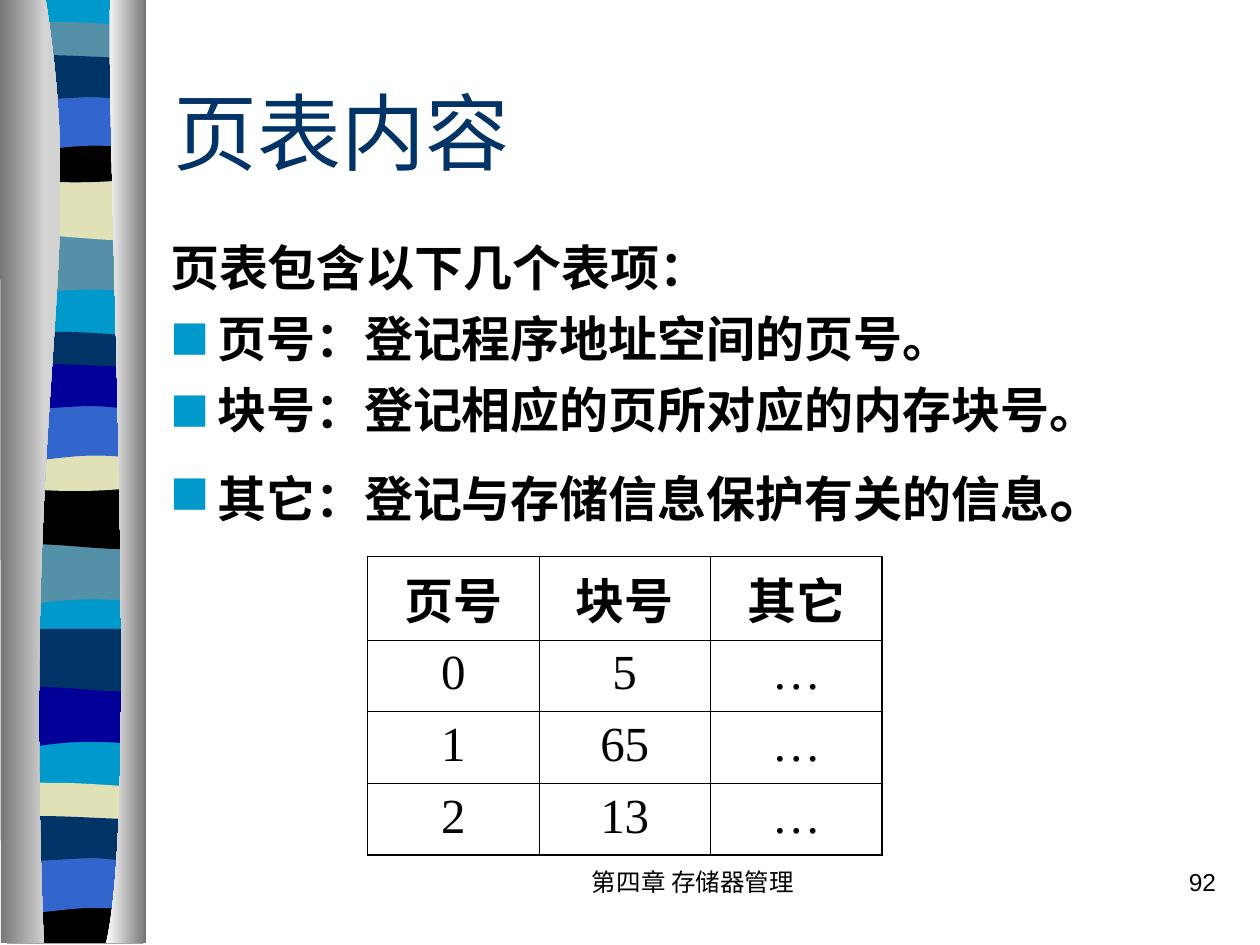
from lxml import etree
from pptx import Presentation
from pptx.dml.color import RGBColor
from pptx.enum import text as t
from pptx.oxml.ns import qn
from pptx.util import Pt

SKY = RGBColor(0x00, 0x99, 0xCC)
STEEL = RGBColor(0x54, 0x90, 0xA8)
SAND = RGBColor(0xE1, 0xE1, 0xB7)
BLACK = RGBColor(0x00, 0x00, 0x00)
ROYAL = RGBColor(0x33, 0x66, 0xCC)
NAVY = RGBColor(0x00, 0x33, 0x66)
INDIGO = RGBColor(0x00, 0x00, 0x99)
GREY = RGBColor(0x76, 0x76, 0x76)
SILVER = RGBColor(0xD3, 0xD3, 0xD3)
WHITE = RGBColor(0xFF, 0xFF, 0xFF)
HAN = "Noto Sans CJK SC"

# Content
TITLE = "页表内容"
# Each line: bulleted, space before, runs of (text, size)
LINES = [
    (False, 0, [("页表包含以下几个表项：", 28)]),
    (True, 7, [("页号：登记程序地址空间的页号。", 28)]),
    (True, 7, [("块号：登记相应的页所对应的内存块号。", 28)]),
    (True, 9, [("其它：登记与存储信息保护有关的信息", 28), ("。", 36)]),
]
ROWS = [("页号", "块号", "其它"), ("0", "5", "…"), ("1", "65", "…"), ("2", "13", "…")]
# Footer boxes: text, left, width, alignment
FOOTERS = [
    ("第四章 存储器管理", 282, 228, t.PP_ALIGN.CENTER),
    ("92", 552, 150, t.PP_ALIGN.RIGHT),
]

# Band outlines in points from the band's top: pairs are corners,
# sextuples are Bezier curves
OUTLINES = {
    "tilt": [(82, 0), (82, 34), (28, 28, 17, 39.5, 4, 34), (4, 0)],
    "swell": [(82, 0), (82, 34), (69, 39.5, 28, 30, 4, 34), (4, 0)],
    "crest": [(82, 3.5), (82, 21), (69, 24, 17, 24, 4, 21), (4, 3.5),
              (8.5, 0, 21, 1, 34, 1), (47, 1, 72, 3, 82, 3.5)],
    "dip": [(82, 0), (82, 23), (69, 27.5, 17, 27.5, 4, 23), (4, 0),
            (51.5, 3.5, 65.5, 0, 82, 0)],
    "arch": [(82, 0), (82, 34), (70, 30, 65, 30, 52, 30),
             (39, 30, 16, 34, 4, 34), (4, 0)],
    "ridge": [(82, 3.5), (82, 26), (77, 29.5, 65, 26, 52, 26),
              (39, 26, 12, 29.5, 4, 26), (4, 3.5),
              (15, 0, 57, 3.5, 70, 3.5), (83, 3.5, 79, 3.5, 82, 3.5)],
    "floor": [(82, 0), (82, 26.5), (4, 26.5), (4, 0), (51.5, 3.5, 65.5, 0, 82, 0)],
    "strip": [(82, 0), (82, 538.5), (4, 538.5), (4, 0)],
    "left column": [(26, 0), (51, 156, 12, 213.5, 25, 539.5), (0.5, 539.5), (0, 0)],
    "right column": [(63, 0), (60.5, 90, 80, 465, 60.5, 539.5), (83.5, 539.5), (83.5, 0)],
}
# Outline, top, colour, from back to front
BANDS = [
    ("strip", -0.5, SKY),
    ("tilt", 133.2, STEEL), ("swell", 101.5, SAND), ("crest", 11.5, STEEL),
    ("dip", 77.8, BLACK), ("arch", 53.3, ROYAL), ("ridge", 29.5, NAVY),
    ("tilt", 310.3, STEEL), ("swell", 278, BLACK), ("crest", 188.6, NAVY),
    ("dip", 254.2, SAND), ("arch", 230.4, ROYAL), ("ridge", 206, INDIGO),
    ("tilt", 391.7, INDIGO), ("swell", 359.3, NAVY), ("crest", 446.4, SAND),
    ("floor", 512.6, BLACK), ("arch", 488.9, ROYAL), ("ridge", 464.4, NAVY),
]
COLUMNS = [("left column", GREY, SILVER), ("right column", WHITE, GREY)]


def add_outline(page, name, top):
    parts = OUTLINES[name]
    corners = [(Pt(part[-2]), Pt(part[-1] + top)) for part in parts]
    builder = page.shapes.build_freeform(*corners[0], scale=1.0)
    builder.add_line_segments(corners[1:], close=True)
    shape = builder.convert_to_shape()
    # Bend the straight segments that are curves
    segments = list(shape.element.iter(qn("a:lnTo")))
    for segment, part in zip(segments, parts[1:]):
        if len(part) == 6:
            segment.tag = qn("a:cubicBezTo")
            segment.remove(segment[0])
            for x, y in zip(part[::2], part[1::2]):
                etree.SubElement(segment, qn("a:pt"), x=str(Pt(x) - shape.left),
                                 y=str(Pt(y + top) - shape.top))
    shape.shadow.inherit = False
    shape.line.fill.background()
    return shape


def place(shape, left, top, width, height):
    spots = {"left": left, "top": top, "width": width, "height": height}
    for key, value in spots.items():
        setattr(shape, key, Pt(value))


def add_span(para, words, color=BLACK, **formats):
    span = para.add_run()
    span.text = words
    span.font.color.rgb = color
    for key, value in formats.items():
        setattr(span.font, key, value)
    east = etree.SubElement(span.font._element, qn("a:ea"))
    east.set("typeface", HAN)


def set_bullet(para, shown):
    props = para._p.get_or_add_pPr()
    props.set("marL", str(Pt(27)))
    props.set("indent", str(-Pt(27)))
    if not shown:
        etree.SubElement(props, qn("a:buNone"))
        return
    color = etree.SubElement(props, qn("a:buClr"))
    etree.SubElement(color, qn("a:srgbClr")).set("val", str(SKY))
    for tag, key, value in (("buSzPct", "val", "80000"), ("buFont", "typeface", HAN),
                            ("buChar", "char", "■")):
        etree.SubElement(props, qn("a:" + tag)).set(key, value)


def set_borders(cell, widths):
    props = cell._tc.get_or_add_tcPr()
    for index, (side, width) in enumerate(widths.items()):
        line = etree.Element(qn("a:" + side), w=str(Pt(width)))
        fill = etree.SubElement(line, qn("a:solidFill"))
        etree.SubElement(fill, qn("a:srgbClr")).set("val", str(BLACK))
        props.insert(index, line)


deck = Presentation()
deck.slide_width, deck.slide_height = Pt(720), Pt(540)
page = deck.slides.add_slide(deck.slide_layouts[1])
title, body = page.placeholders

# Striped side decoration
for name, top, color in BANDS:
    band = add_outline(page, name, top)
    band.fill.solid()
    band.fill.fore_color.rgb = color
for name, start, end in COLUMNS:
    column = add_outline(page, name, -0.5)
    column.fill.gradient()
    column.fill.gradient_angle = 0
    for stop, color in zip(column.fill.gradient_stops, (start, end)):
        stop.color.rgb = color

# Title and list, in front of the decoration
for holder in (title, body):
    page.shapes.element.append(holder.element)
    holder.text_frame.auto_size = t.MSO_AUTO_SIZE.NONE
place(title, 92, 36, 612, 78)
title.text_frame.vertical_anchor = t.MSO_ANCHOR.MIDDLE
heading = title.text_frame.paragraphs[0]
heading.alignment = t.PP_ALIGN.LEFT
add_span(heading, TITLE, NAVY, size=Pt(48), name=HAN)

place(body, 90, 132, 612, 180)
for index, (bulleted, space, spans) in enumerate(LINES):
    frame = body.text_frame
    para = frame.add_paragraph() if index else frame.paragraphs[0]
    set_bullet(para, bulleted)
    para.alignment = t.PP_ALIGN.JUSTIFY
    para.space_before = Pt(space)
    for words, size in spans:
        add_span(para, words, size=Pt(size), name=HAN, bold=True)

# Page table
grid = page.shapes.add_table(len(ROWS), len(ROWS[0]), Pt(210), Pt(318), Pt(294), Pt(164)).table
last_row, last_column = len(ROWS) - 1, len(ROWS[0]) - 1
for r, row in enumerate(ROWS):
    for c, words in enumerate(row):
        cell = grid.cell(r, c)
        cell.fill.background()
        edges = {"lnL": c == 0, "lnR": c == last_column, "lnT": r == 0, "lnB": r == last_row}
        set_borders(cell, {side: 1.08 if outer else 0.45 for side, outer in edges.items()})
        para = cell.text_frame.paragraphs[0]
        para.alignment = t.PP_ALIGN.CENTER
        add_span(para, words, size=Pt(28), name="Times New Roman", bold=r == 0)

# Footer
for words, left, width, alignment in FOOTERS:
    box = page.shapes.add_textbox(Pt(left), Pt(492), Pt(width), Pt(36))
    box.text_frame.word_wrap = True
    para = box.text_frame.paragraphs[0]
    para.alignment = alignment
    add_span(para, words, size=Pt(14), name="Arial")

deck.save("out.pptx")
